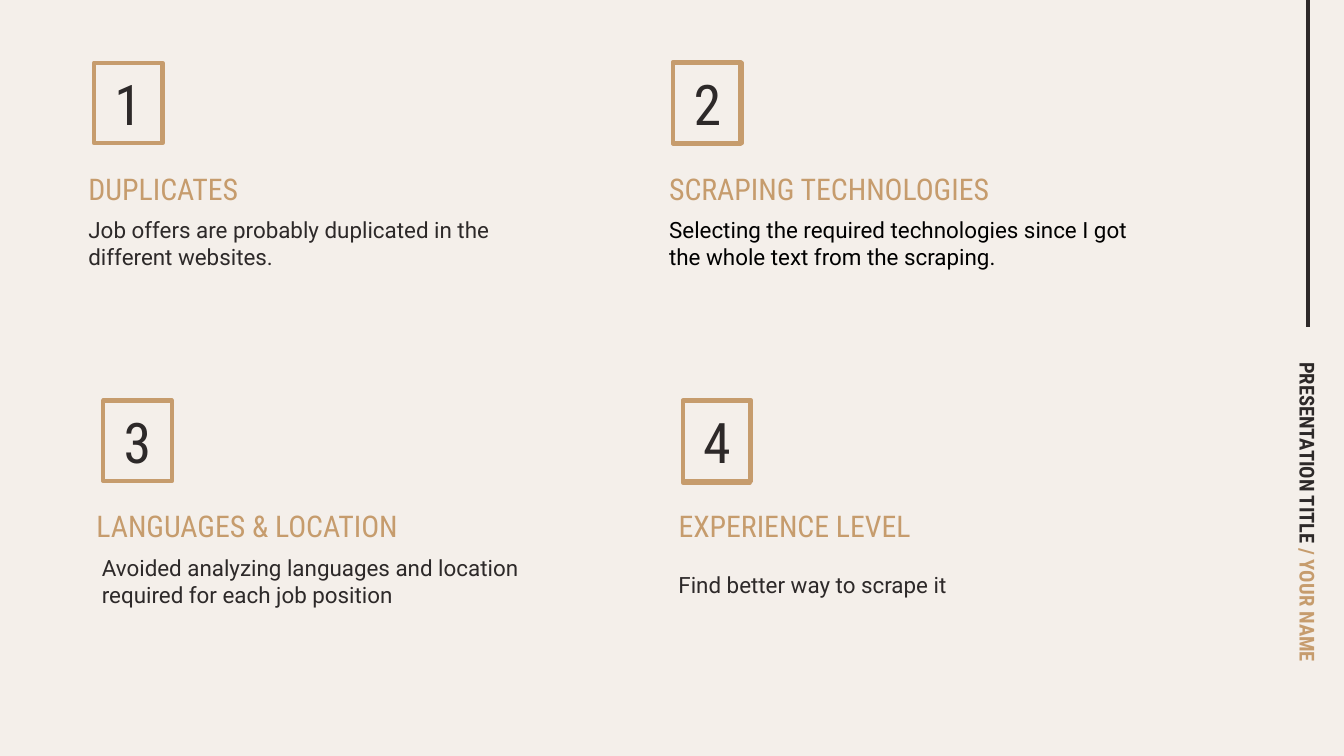
from dataclasses import dataclass
from typing import Optional

from lxml.etree import SubElement
from pptx import Presentation
from pptx.dml.color import RGBColor
from pptx.enum.shapes import MSO_CONNECTOR, MSO_SHAPE
from pptx.enum.text import MSO_ANCHOR, PP_ALIGN
from pptx.oxml.ns import qn
from pptx.slide import Slide
from pptx.util import Pt

COLORS = {"paper": "F4EFEA", "ink": "2D2929", "gold": "C69C6D", "black": "000000"}
CONDENSED, BODY = "Roboto Condensed", "Roboto"


@dataclass
class Run:
    text: str
    size: float
    color: str
    font: str = CONDENSED
    bold: bool = False


@dataclass
class Card:
    number: str
    title: str
    body: str
    x: float
    y: float
    title_x: float
    body_x: float
    body_dy: float = 75.2
    body_color: str = "ink"
    overlay_dy: Optional[float] = None


CARDS = [
    Card("1", "DUPLICATES",
         "Job offers are probably duplicated in the different websites.",
         50.4, 33.6, 40.3, 40.3),
    Card("2", "SCRAPING TECHNOLOGIES",
         "Selecting the required technologies since I got the whole text from the scraping.",
         360.7, 33.6, 351.4, 351.4, body_color="black", overlay_dy=-0.5),
    Card("3", "LANGUAGES & LOCATION",
         "Avoided analyzing languages and location required for each job position",
         55.4, 214.6, 44.6, 47.5),
    Card("4", "EXPERIENCE LEVEL", "Find better way to scrape it",
         365.8, 214.6, 356.4, 356.4, body_dy=84.2, overlay_dy=0),
]


def rgb(name: str) -> RGBColor:
    """Return the named colour."""
    return RGBColor.from_string(COLORS[name])


def add_text(s: Slide, x: float, y: float, w: float, h: float, runs: list[Run],
             anchor: MSO_ANCHOR = MSO_ANCHOR.MIDDLE,
             align: PP_ALIGN = PP_ALIGN.LEFT, rotation: float = 0) -> None:
    """Add a wrapped one-paragraph text box."""
    sp = s.shapes.add_textbox(Pt(x), Pt(y), Pt(w), Pt(h))
    sp.rotation = rotation
    tf = sp.text_frame
    tf.word_wrap = True
    tf.vertical_anchor = anchor
    tf.margin_left = tf.margin_right = tf.margin_top = tf.margin_bottom = Pt(7.2)
    p = tf.paragraphs[0]
    p.alignment = align
    for run in runs:
        r = p.add_run()
        r.text = run.text
        r.font.name = run.font
        r.font.size = Pt(run.size)
        r.font.bold = run.bold
        r.font.color.rgb = rgb(run.color)


def add_frame(s: Slide, x: float, y: float, w: float, h: float) -> None:
    """Add an unfilled gold rectangle."""
    sp = s.shapes.add_shape(MSO_SHAPE.RECTANGLE, Pt(x), Pt(y), Pt(w), Pt(h))
    sp.shadow.inherit = False
    sp.fill.background()
    sp.line.color.rgb = rgb("gold")
    sp.line.width = Pt(2.25)


def add_rule(s: Slide, x: float, y1: float, y2: float) -> None:
    """Add a dark vertical line."""
    sp = s.shapes.add_connector(MSO_CONNECTOR.STRAIGHT, Pt(x), Pt(y1), Pt(x), Pt(y2))
    sp.line.color.rgb = rgb("ink")
    sp.line.width = Pt(2.25)
    SubElement(sp._element.spPr, qn("a:effectLst"))


def add_card(s: Slide, c: Card) -> None:
    """Add a framed number with its title and body."""
    add_frame(s, c.x, c.y, 36.7, 43.2)
    add_text(s, c.x - 20.2, c.y + 2.2, 77, 38.9, [Run(c.number, 30, "ink")],
             align=PP_ALIGN.CENTER)
    if c.overlay_dy is not None:
        add_frame(s, c.x, c.y + c.overlay_dy, 36, 43.9)
    add_text(s, c.title_x, c.y + 53, 215.3, 31, [Run(c.title, 16, "gold")],
             MSO_ANCHOR.BOTTOM)
    add_text(s, c.body_x, c.y + c.body_dy, 261.4, 114.5,
             [Run(c.body, 12, c.body_color, BODY)], MSO_ANCHOR.TOP)


def main() -> None:
    """Build and save the slide."""
    prs = Presentation()
    prs.slide_width, prs.slide_height = Pt(720), Pt(405)
    s = prs.slides.add_slide(prs.slide_layouts[6])
    s.background.fill.solid()
    s.background.fill.fore_color.rgb = rgb("paper")
    add_rule(s, 700.6, 0, 175)
    add_text(s, 526.3, 180, 348.5, 15.1,
             [Run("PRESENTATION TITLE ", 11, "ink", bold=True),
              Run("/ YOUR NAME", 11, "gold", bold=True)],
             align=PP_ALIGN.RIGHT, rotation=90)
    for card in CARDS:
        add_card(s, card)
    prs.save("out.pptx")


if __name__ == "__main__":
    main()
